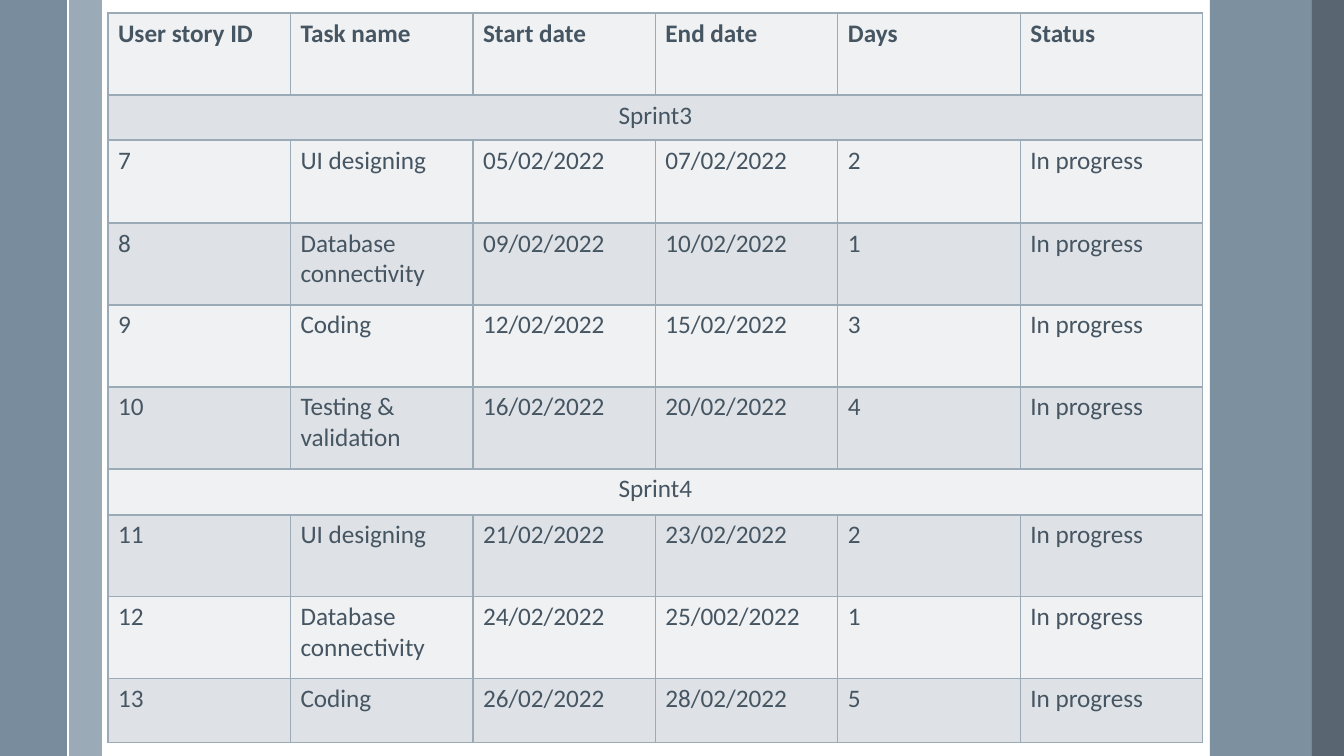
from dataclasses import dataclass

from lxml import etree
from pptx import Presentation
from pptx.dml.color import RGBColor
from pptx.enum.shapes import MSO_CONNECTOR, MSO_SHAPE
from pptx.enum.text import PP_ALIGN
from pptx.oxml.ns import qn
from pptx.util import Pt

RECT = MSO_SHAPE.RECTANGLE
LINE = MSO_CONNECTOR.STRAIGHT
CENTER = PP_ALIGN.CENTER

HEADS = ("User story ID", "Task name", "Start date", "End date", "Days", "Status")
STATE = "In progress"
SPRINTS = {
    "Sprint3": [
        ("7", "UI designing", "05/02/2022", "07/02/2022", "2"),
        ("8", "Database connectivity", "09/02/2022", "10/02/2022", "1"),
        ("9", "Coding", "12/02/2022", "15/02/2022", "3"),
        ("10", "Testing & validation", "16/02/2022", "20/02/2022", "4"),
    ],
    "Sprint4": [
        ("11", "UI designing", "21/02/2022", "23/02/2022", "2"),
        ("12", "Database connectivity", "24/02/2022", "25/002/2022", "1"),
        ("13", "Coding", "26/02/2022", "28/02/2022", "5"),
    ],
}


@dataclass(frozen=True)
class Theme:
    font: str = "Calibri"
    size: int = 18
    text: str = "465562"
    mist: str = "9BAAB7"
    steel: str = "6A8093"
    slate: str = "475562"
    white: str = "FFFFFF"
    bands: tuple = ("EFF1F3", "DEE2E6")
    rule: float = 1
    stripe: float = 1.5


THEME = Theme()
WIDE, HIGH = 1344, 756
LEFT, TOP, SPAN = 108, 13, 1095
EDGES = (13, 95, 140, 223, 305, 387, 469, 515, 597, 679, 743)
BARS = (
    (69, 33, THEME.mist, 100),
    (0, 67, THEME.steel, 90),
    (1210, 102, THEME.steel, 87),
    (1312, 32, THEME.slate, 90),
)
SCALE = 12192000 / WIDE


def px(num):
    return round(num * SCALE)


def rgb(code):
    return RGBColor.from_string(code)


def add_bar(slide, left, width, color, alpha):
    bar = slide.shapes.add_shape(RECT, px(left), 0, px(width), px(HIGH))
    bar.shadow.inherit = False
    bar.line.fill.background()
    bar.fill.solid()
    bar.fill.fore_color.rgb = rgb(color)
    if alpha < 100:
        tint = bar.fill._xPr.find(".//" + qn("a:srgbClr"))
        etree.SubElement(tint, qn("a:alpha"), val=str(alpha * 1000))


def add_stripe(slide):
    line = slide.shapes.add_connector(LINE, px(68), 0, px(68), px(HIGH))
    line.line.color.rgb = rgb(THEME.white)
    line.line.width = Pt(THEME.stripe)
    etree.SubElement(line._element.spPr, qn("a:effectLst"))


def set_cell(cell, band):
    props = cell._tc.get_or_add_tcPr()
    for side in ("lnL", "lnR", "lnT", "lnB"):
        edge = etree.SubElement(props, qn("a:" + side), w=str(Pt(THEME.rule)))
        fill = etree.SubElement(edge, qn("a:solidFill"))
        etree.SubElement(fill, qn("a:srgbClr"), val=THEME.mist)
    cell.fill.solid()
    cell.fill.fore_color.rgb = rgb(band)


def set_text(cell, text, bold=False):
    cell.text = text
    para = cell.text_frame.paragraphs[0]
    font = para.font
    font.name, font.size, font.bold = THEME.font, Pt(THEME.size), bold
    font.color.rgb = rgb(THEME.text)
    return para


def add_plan(slide):
    rows = [HEADS]
    for name, tasks in SPRINTS.items():
        rows.append((name,))
        rows.extend((*task, STATE) for task in tasks)
    count = len(HEADS)
    frame = slide.shapes.add_table(
        len(rows), count, px(LEFT), px(TOP), px(SPAN), px(EDGES[-1] - TOP)
    )
    table = frame.table
    for col in table.columns:
        col.width = px(SPAN / count)
    for num, row in enumerate(rows):
        table.rows[num].height = px(EDGES[num + 1] - EDGES[num])
        for col in range(count):
            set_cell(table.cell(num, col), THEME.bands[num % 2])
        for col, text in enumerate(row):
            para = set_text(table.cell(num, col), text, num == 0)
        if len(row) == 1:
            table.cell(num, 0).merge(table.cell(num, count - 1))
            para.alignment = CENTER


def main():
    deck = Presentation()
    deck.slide_width, deck.slide_height = px(WIDE), px(HIGH)
    slide = deck.slides.add_slide(deck.slide_layouts[6])
    for bar in BARS:
        add_bar(slide, *bar)
    add_stripe(slide)
    add_plan(slide)
    deck.save("out.pptx")


if __name__ == "__main__":
    main()
